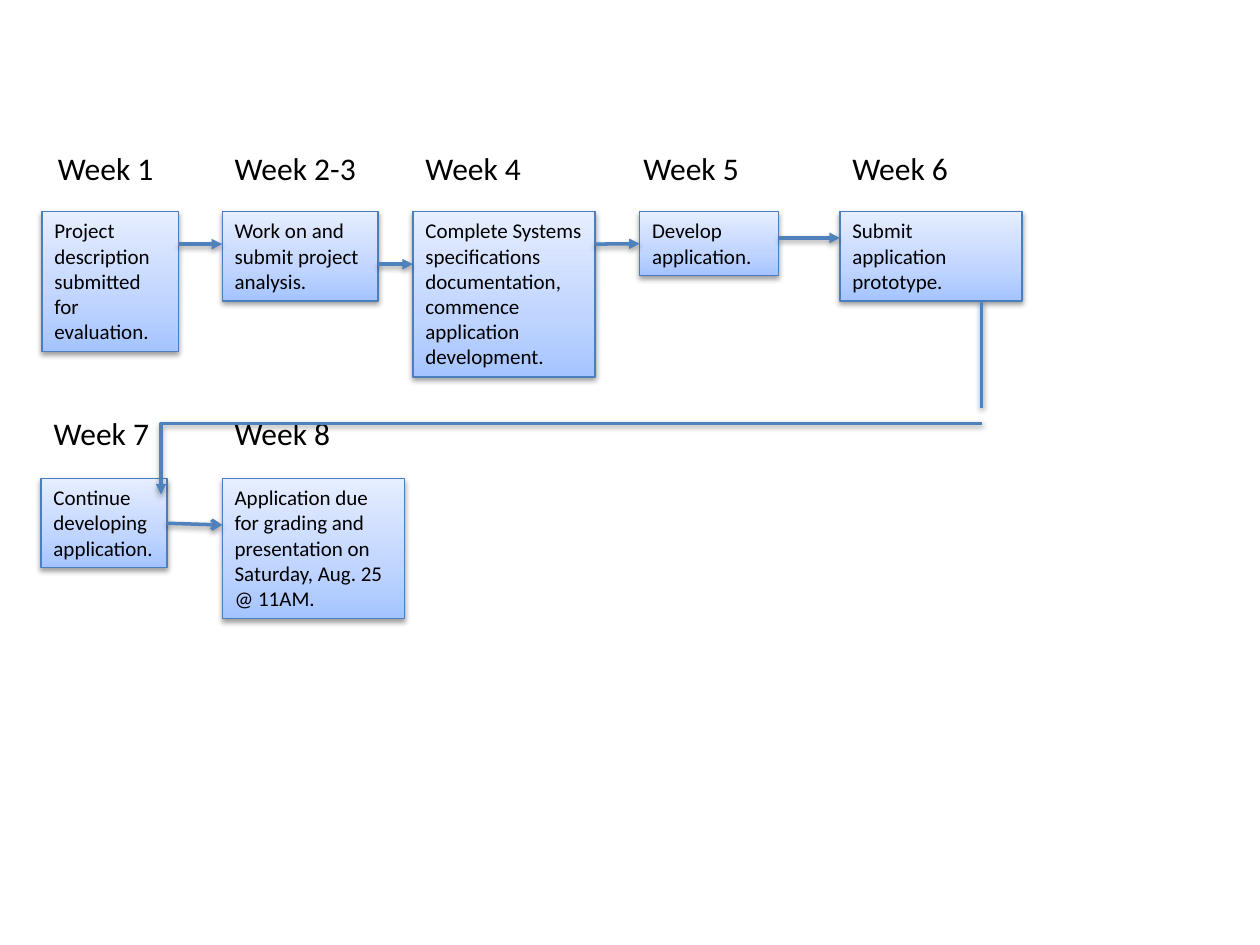
import copy

import pptx
import pptx.dml.color
import pptx.enum.shapes
import pptx.enum.text
import pptx.oxml
import pptx.oxml.ns
import pptx.util

Pt = pptx.util.Pt
Emu = pptx.util.Emu
CONNECTOR = pptx.enum.shapes.MSO_CONNECTOR
LEFT_SIDE, RIGHT_SIDE = 1, 3
FONT = "Calibri"
BLACK, OUTLINE, ARROW = "000000", "4B7EBC", "4F81BD"
GRADIENT = [(0, "A4C4FF"), (0.35, "BFD4FF"), (1, "E6EEFF")]
LABEL_HEIGHT = 29
SHADOW = (
    '<a:effectLst xmlns:a="http://schemas.openxmlformats.org/drawingml/2006/main">'
    '<a:outerShdw blurRad="40000" dist="20000" dir="5400000" rotWithShape="0">'
    '<a:srgbClr val="000000"><a:alpha val="38000"/></a:srgbClr>'
    "</a:outerShdw></a:effectLst>"
)

# label top, box top, then (week, label left, label width, box left, width, height, task)
ROWS = [
    (81.5, 121, [
        ("Week 1", 26, 70, 24, 78, 80, "Project description submitted for evaluation."),
        ("Week 2-3", 127, 84, 127, 89, 51, "Work on and submit project analysis."),
        ("Week 4", 236, 70, 236, 104, 94.5,
         "Complete Systems specifications documentation, commence application development."),
        ("Week 5", 360.5, 70, 365.5, 79.5, 36.5, "Develop application."),
        ("Week 6", 480, 70, 480, 104, 51, "Submit application prototype."),
    ]),
    (233, 273.5, [
        ("Week 7", 23.5, 70, 23.5, 72, 51, "Continue developing application."),
        ("Week 8", 127, 70, 127, 104, 80,
         "Application due for grading and presentation on Saturday, Aug. 25 @ 11AM."),
    ]),
]

# from week, to week, height of the arrow, arrowhead
ARROWS = [
    ("Week 1", "Week 2-3", 139.5, "triangle"),
    ("Week 2-3", "Week 4", 151, "triangle"),
    ("Week 4", "Week 5", 139.5, "triangle"),
    ("Week 5", "Week 6", 136, "triangle"),
    ("Week 7", "Week 8", 300, "arrow"),
]
RETURN_X, RETURN_GAP_TOP, RETURN_Y = 561, 233, 242
RETURN_END = (92, 282.5)


def rgb(value):
    return pptx.dml.color.RGBColor.from_string(value)


def add_shadow(shape):
    properties = shape._element.spPr
    for effects in properties.findall(pptx.oxml.ns.qn("a:effectLst")):
        properties.remove(effects)
    properties.append(pptx.oxml.parse_xml(SHADOW))


def write(shape, text, size, wrap):
    frame = shape.text_frame
    frame.word_wrap = wrap
    frame.auto_size = pptx.enum.text.MSO_AUTO_SIZE.SHAPE_TO_FIT_TEXT
    frame.vertical_anchor = pptx.enum.text.MSO_ANCHOR.TOP
    paragraph = frame.paragraphs[0]
    paragraph.alignment = pptx.enum.text.PP_ALIGN.LEFT
    run = paragraph.add_run()
    run.text = text
    run.font.name = FONT
    run.font.size = Pt(size)
    run.font.color.rgb = rgb(BLACK)


def fill_gradient(shape):
    shape.fill.gradient()
    shape.fill.gradient_angle = 90
    stop_list = shape._element.spPr.find(".//" + pptx.oxml.ns.qn("a:gsLst"))
    stop_list.append(copy.deepcopy(stop_list[-1]))
    for stop, (position, color) in zip(shape.fill.gradient_stops, GRADIENT):
        stop.position = position
        stop.color.rgb = rgb(color)


def add_task(slide, left, top, width, height, text):
    box = slide.shapes.add_shape(pptx.enum.shapes.MSO_SHAPE.RECTANGLE,
                                 Pt(left), Pt(top), Pt(width), Pt(height))
    box.shadow.inherit = False
    fill_gradient(box)
    box.line.color.rgb = rgb(OUTLINE)
    box.line.width = Pt(0.75)
    add_shadow(box)
    write(box, text, 12, True)
    return box


def style_connector(connector, head=None):
    connector.line.color.rgb = rgb(ARROW)
    connector.line.width = Pt(2)
    if head:
        line = connector.line._get_or_add_ln()
        tail = line.makeelement(pptx.oxml.ns.qn("a:tailEnd"), {"type": head})
        line.append(tail)
    add_shadow(connector)


def add_line(slide, start, end, kind=CONNECTOR.STRAIGHT):
    return slide.shapes.add_connector(kind, *(Pt(value) for value in (*start, *end)))


def main():
    presentation = pptx.Presentation()
    presentation.slide_width, presentation.slide_height = Pt(720), Pt(540)
    slide = presentation.slides.add_slide(presentation.slide_layouts[6])

    boxes = {}
    for label_top, box_top, weeks in ROWS:
        for week, label_left, label_width, left, width, height, task in weeks:
            boxes[week] = add_task(slide, left, box_top, width, height, task)
            label = slide.shapes.add_textbox(Pt(label_left), Pt(label_top),
                                             Pt(label_width), Pt(LABEL_HEIGHT))
            write(label, week, 18, False)

    for source, target, y, head in ARROWS:
        first, second = boxes[source], boxes[target]
        right = Emu(first.left + first.width).pt
        arrow = add_line(slide, (right, y), (second.left.pt, y))
        if source == "Week 7":
            arrow.begin_connect(first, RIGHT_SIDE)
        if target == "Week 5":
            arrow.end_connect(second, LEFT_SIDE)
        style_connector(arrow, head)

    elbow = add_line(slide, (RETURN_X, RETURN_Y), RETURN_END, CONNECTOR.ELBOW)
    elbow._element.spPr.find(pptx.oxml.ns.qn("a:prstGeom")).set("prst", "bentConnector2")
    style_connector(elbow, "triangle")

    last = boxes["Week 6"]
    bottom = Emu(last.top + last.height).pt
    drop = add_line(slide, (RETURN_X, bottom), (RETURN_X, RETURN_GAP_TOP))
    style_connector(drop)

    presentation.save("out.pptx")


if __name__ == "__main__":
    main()
